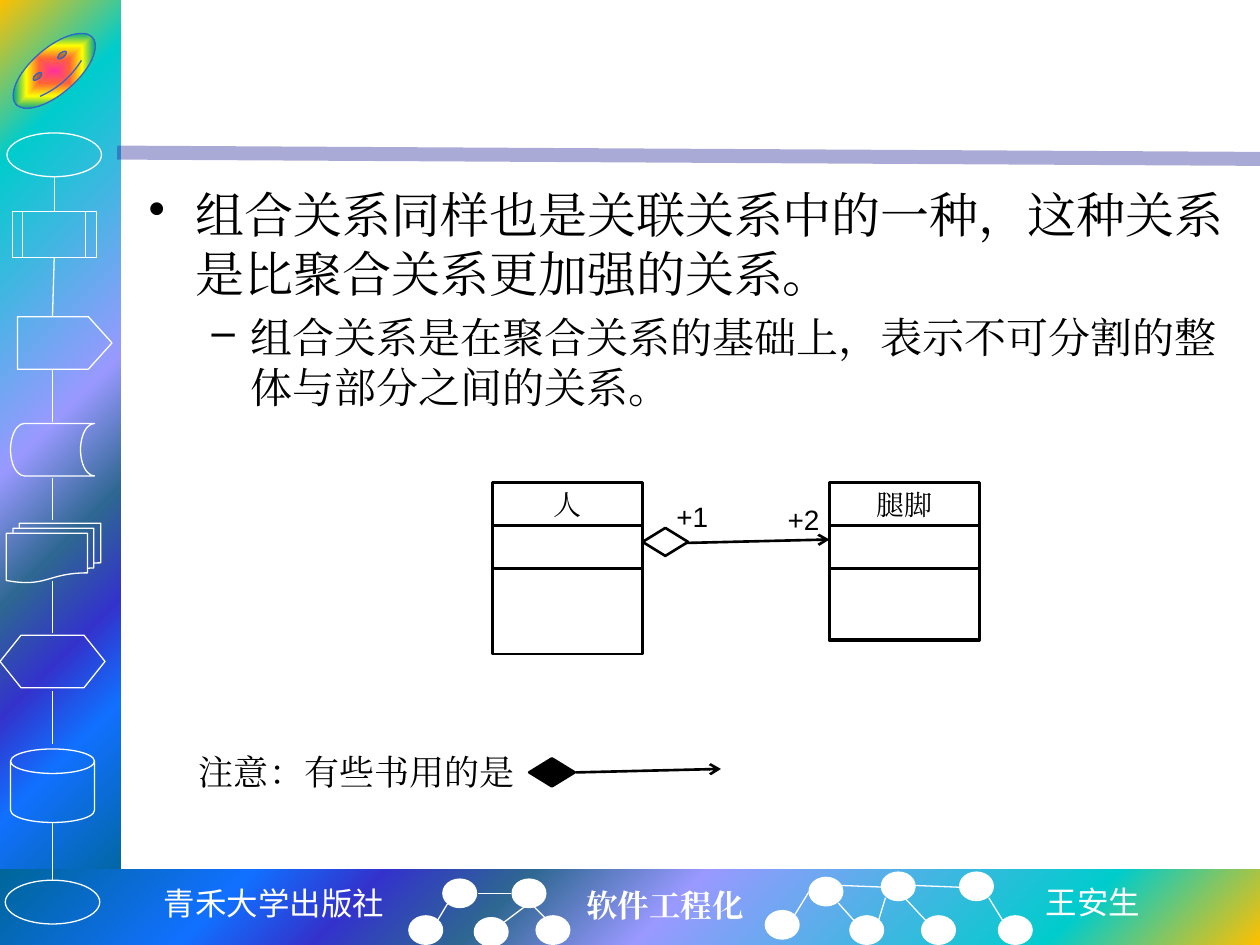
import pptx
import pptx.dml.color
import pptx.enum.shapes
import pptx.enum.text
import pptx.oxml
import pptx.oxml.ns
import pptx.util

Pt = pptx.util.Pt
MSO = pptx.enum.shapes.MSO_SHAPE
ALIGN = pptx.enum.text.PP_ALIGN
ANCHOR = pptx.enum.text.MSO_ANCHOR
qn = pptx.oxml.ns.qn
NS = pptx.oxml.ns.nsdecls("a")

WHITE, BLACK, NAVY = "FFFFFF", "000000", "262699"
SERIF, SANS, MONO, CJK = "Times New Roman", "Arial", "Courier New", "Noto Sans CJK SC"
BAND = [(0, "FFC000"), (16, "00CCCC"), (47, "9999FF"), (60, "2E6792"),
        (71, "3333CC"), (81, "1170FF"), (100, "006699")]
RAINBOW = [(0, "FF3399"), (25, "FF6633"), (50, "FFFF00"), (75, "01A78F"), (100, "3366FF")]


def rgb(value):
    return pptx.dml.color.RGBColor.from_string(value)


def xml(text):
    return pptx.oxml.parse_xml(text.replace(">", f" {NS}>", 1) if "/>" not in text.split(">")[0] + ">"
                               else text.replace("/>", f" {NS}/>", 1))


class Deck:
    """Hold the presentation style and the slide being drawn."""

    def __init__(self, width, height):
        self.prs = pptx.Presentation()
        self.prs.slide_width, self.prs.slide_height = Pt(width), Pt(height)
        self.slide = self.prs.slides.add_slide(self.prs.slide_layouts[6])

    def shape(self, kind, x, y, w, h, fill=None, line=None, weight=0.75):
        sp = self.slide.shapes.add_shape(kind, Pt(x), Pt(y), Pt(w), Pt(h))
        sp.shadow.inherit = False
        if fill:
            sp.fill.solid()
            sp.fill.fore_color.rgb = rgb(fill)
        else:
            sp.fill.background()
        if line:
            sp.line.color.rgb = rgb(line)
            sp.line.width = Pt(weight)
        else:
            sp.line.fill.background()
        return sp

    def gradient(self, sp, stops, path, focus):
        gs = "".join(f'<a:gs pos="{pos * 1000}"><a:srgbClr val="{color}"/></a:gs>'
                     for pos, color in stops)
        sides = " ".join(f'{side}="{v * 1000}"' for side, v in zip("ltrb", focus))
        fill = xml(f'<a:gradFill rotWithShape="1"><a:gsLst>{gs}</a:gsLst><a:path path="{path}">'
                   f'<a:fillToRect {sides}/></a:path></a:gradFill>')
        spPr = sp._element.spPr
        spPr.replace(spPr.find(qn("a:noFill")), fill)

    def line(self, x1, y1, x2, y2, color=WHITE, weight=0.75, arrow=False, alpha=None):
        ln = self.slide.shapes.add_connector(pptx.enum.shapes.MSO_CONNECTOR.STRAIGHT,
                                             Pt(x1), Pt(y1), Pt(x2), Pt(y2))
        ln.line.color.rgb = rgb(color)
        ln.line.width = Pt(weight)
        spPr = ln._element.spPr
        if alpha:
            spPr.find(".//" + qn("a:srgbClr")).append(xml(f'<a:alpha val="{alpha * 1000}"/>'))
        if arrow:
            spPr.find(qn("a:ln")).append(xml('<a:tailEnd type="arrow"/>'))
        spPr.append(xml("<a:effectLst/>"))

    def run(self, p, text, size, font, color, bold=False):
        r = p.add_run()
        r.text = text
        r.font.size, r.font.name, r.font.bold = Pt(size), font, bold
        r.font.color.rgb = rgb(color)
        r._r.get_or_add_rPr().append(xml(f'<a:ea typeface="{font}"/>'))

    def text(self, x, y, w, h, text, size, font, color=BLACK, align=ALIGN.LEFT,
             bold=False, wrap=False):
        tf = self.slide.shapes.add_textbox(Pt(x), Pt(y), Pt(w), Pt(h)).text_frame
        tf.word_wrap = wrap
        tf.paragraphs[0].alignment = align
        self.run(tf.paragraphs[0], text, size, font, color, bold)

    def bullets(self, x, y, w, h, items):
        tf = self.slide.shapes.add_textbox(Pt(x), Pt(y), Pt(w), Pt(h)).text_frame
        tf.word_wrap = True
        for i, (text, size, mark, left, hang) in enumerate(items):
            p = tf.add_paragraph() if i else tf.paragraphs[0]
            p.level = i
            pPr = p._p.get_or_add_pPr()
            pPr.set("marL", str(Pt(left)))
            pPr.set("indent", str(-Pt(hang)))
            pPr.append(xml(f'<a:buChar char="{mark}"/>'))
            if i:
                p.space_before = Pt(size * 0.2)
            self.run(p, text, size, SERIF, BLACK)

    def uml_class(self, x, y, w, name, heights, weight):
        for i, h in enumerate(heights):
            sp = self.shape(MSO.RECTANGLE, x, y, w, h, line=BLACK, weight=weight)
            y += h
            if i == 0:
                tf = sp.text_frame
                tf.vertical_anchor = ANCHOR.MIDDLE
                tf.margin_top = tf.margin_bottom = 0
                tf.paragraphs[0].alignment = ALIGN.CENTER
                self.run(tf.paragraphs[0], name, 16, SERIF, BLACK)

    def diamond_arrow(self, x, y, fill, dx, dy):
        self.line(x + dx, y + dy, x + dx + 83, y + dy - 2, BLACK, 1.5, arrow=True)
        self.shape(MSO.FLOWCHART_DECISION, x, y, 26, 16, fill, BLACK, 1.5)


def main():
    deck = Deck(720, 540)
    for box, focus in (((0, 0, 69, 510), (0, 0, 100, 100)),
                       ((0, 496.6, 720, 43.4), (100, 100, 0, 0))):
        deck.gradient(deck.shape(MSO.RECTANGLE, *box), BAND, "circle", focus)
    deck.line(67, 87.2, 720, 90.8, NAVY, 8, alpha=39)

    face = deck.shape(MSO.SMILEY_FACE, 2, 27.5, 58, 26, line="3366CC")
    face.adjustments[0] = 0.047
    face.rotation = -41
    deck.gradient(face, RAINBOW, "shape", (50, 50, 50, 50))

    symbols = [(MSO.OVAL, 4, 76, 54, 25), (MSO.FLOWCHART_PREDEFINED_PROCESS, 7, 121, 48, 26),
               (MSO.PENTAGON, 10, 181, 54, 30), (MSO.FLOWCHART_STORED_DATA, 6, 242, 48, 30),
               (MSO.FLOWCHART_MULTIDOCUMENT, 3.6, 299, 54, 34),
               (MSO.FLOWCHART_PREPARATION, 0, 363, 60, 30),
               (MSO.FLOWCHART_MAGNETIC_DISK, 6, 428, 48, 42), (MSO.OVAL, 3, 503, 54, 25)]
    for symbol in symbols:
        sp = deck.shape(*symbol, line=WHITE)
        if symbol[0] == MSO.PENTAGON:
            sp.adjustments[0] = 0.45
    for x1, y1, x2, y2 in ((31, 101, 31, 121), (31, 147.5, 30, 181), (30, 211, 30, 241),
                           (30, 273, 30, 297), (30, 332, 30, 362), (30, 395, 30, 425),
                           (30, 470, 30, 503)):
        deck.line(x1, y1, x2, y2)

    deck.text(85.7, 501.8, 142, 29, "青禾大学出版社", 18, MONO, WHITE, ALIGN.CENTER)
    deck.text(328, 502.5, 105, 29, "软件工程化", 18, SERIF, WHITE, bold=True)
    deck.text(590.4, 501, 69, 29, "王安生", 18, CJK, WHITE)

    for x, y in ((252.7, 502), (292.3, 502), (233.3, 523), (270.7, 524), (306, 523),
                 (462, 501), (503.3, 498), (548, 498), (437, 520), (485.3, 523),
                 (526.3, 523), (570.2, 523)):
        deck.shape(MSO.OVAL, x, y, 20, 17, WHITE)
    for link in ((250, 526, 256, 516), (288, 527, 300, 518), (292, 510.5, 273, 510.5),
                 (312, 525, 305, 518), (488, 526, 479, 516), (529, 526, 515, 511),
                 (573, 526, 565, 513), (502, 526, 506, 513), (523, 506, 548, 507),
                 (454, 523, 462, 510), (481, 506, 506, 507)):
        deck.line(*link)

    deck.bullets(77.8, 102.2, 630, 155, [
        ("组合关系同样也是关联关系中的一种，这种关系是比聚合关系更加强的关系。", 28, "•", 27, 27),
        ("组合关系是在聚合关系的基础上，表示不可分割的整体与部分之间的关系。", 24, "–", 58.5, 22.5)])

    deck.uml_class(281.5, 275.8, 85.7, "人", (24.5, 24.5, 49), 1.5)
    deck.uml_class(473.8, 275.8, 85.7, "腿脚", (24.5, 24.5, 41), 1.75)
    deck.diamond_arrow(367.2, 301.7, WHITE, 23.8, 8.6)
    for x, y, label in ((353.5, 282.2, "+1"), (417, 283.7, "+2")):
        deck.text(x, y, 58.3, 24.5, label, 16, SANS, align=ALIGN.RIGHT, wrap=True)

    deck.text(106.6, 425.5, 196.6, 31.7, "注意：有些书用的是", 20, SERIF)
    deck.diamond_arrow(302.4, 433.4, BLACK, 26.6, 8)
    deck.prs.save("out.pptx")


if __name__ == "__main__":
    main()
